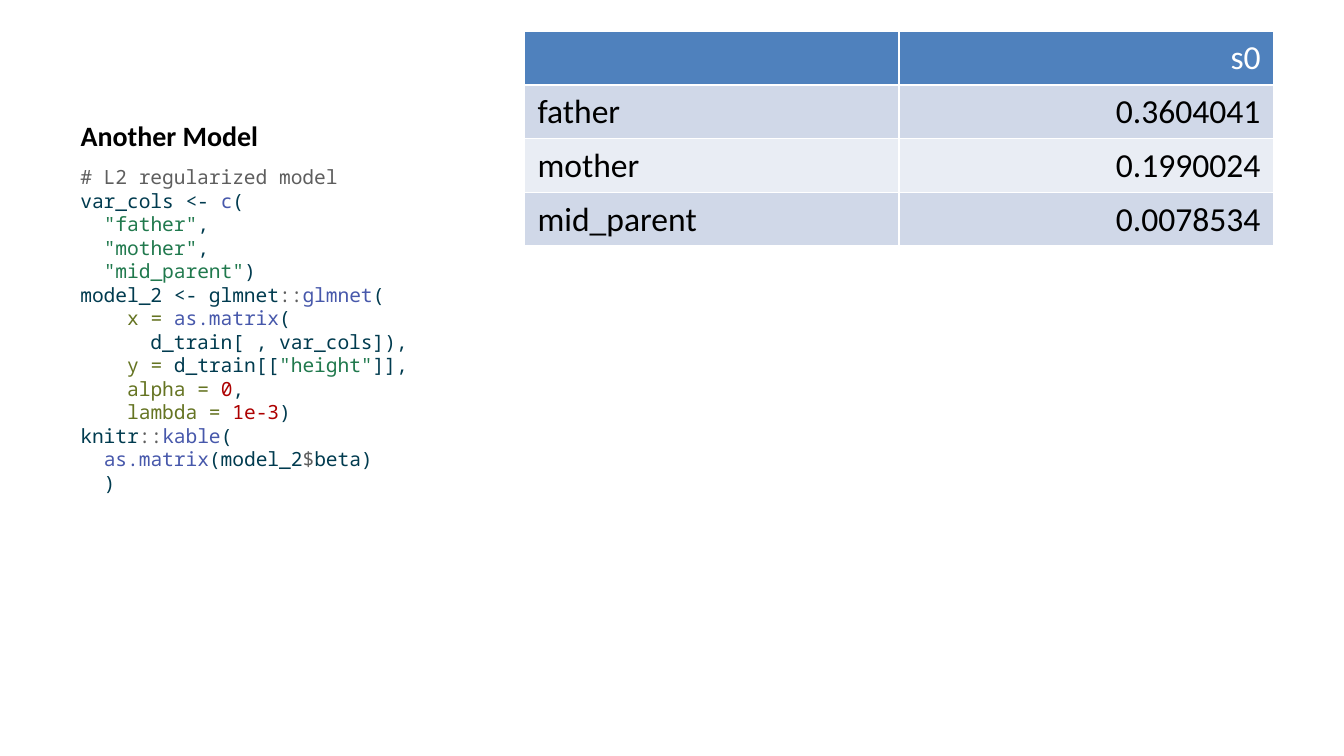
import pptx
import pptx.util
import pptx.dml.color
import pptx.enum.text

Inches = pptx.util.Inches
Pt = pptx.util.Pt
RGBColor = pptx.dml.color.RGBColor
Align = pptx.enum.text.PP_ALIGN
Anchor = pptx.enum.text.MSO_ANCHOR

BLACK = RGBColor(0x00, 0x00, 0x00)
WHITE = RGBColor(0xFF, 0xFF, 0xFF)
HEADER_BLUE = RGBColor(0x4F, 0x81, 0xBD)
BAND_DARK = RGBColor(0xD0, 0xD8, 0xE8)
BAND_LIGHT = RGBColor(0xE9, 0xED, 0xF4)
GREY = RGBColor(0x5E, 0x5E, 0x5E)
NAVY = RGBColor(0x00, 0x3B, 0x4F)
VIOLET = RGBColor(0x47, 0x58, 0xAB)
GREEN = RGBColor(0x20, 0x79, 0x4D)
OLIVE = RGBColor(0x65, 0x74, 0x22)
RED = RGBColor(0xAD, 0x00, 0x00)

TITLE = "Another Model"
CODE_LINES = [
    [("# L2 regularized model", GREY)],
    [("var_cols <- ", NAVY), ("c", VIOLET), ("(", NAVY)],
    [("  ", NAVY), ('"father"', GREEN), (",", NAVY)],
    [("  ", NAVY), ('"mother"', GREEN), (",", NAVY)],
    [("  ", NAVY), ('"mid_parent"', GREEN), (")", NAVY)],
    [("model_2 <- glmnet", NAVY), ("::", GREY), ("glmnet", VIOLET), ("(", NAVY)],
    [("    ", NAVY), ("x = ", OLIVE), ("as.matrix", VIOLET), ("(", NAVY)],
    [("      d_train[ , var_cols]),", NAVY)],
    [("    ", NAVY), ("y =", OLIVE), (" d_train[[", NAVY), ('"height"', GREEN), ("]],", NAVY)],
    [("    ", NAVY), ("alpha = ", OLIVE), ("0", RED), (",", NAVY)],
    [("    ", NAVY), ("lambda = ", OLIVE), ("1e-3", RED), (")", NAVY)],
    [("knitr", NAVY), ("::", GREY), ("kable", VIOLET), ("(", NAVY)],
    [("  ", NAVY), ("as.matrix", VIOLET), ("(model_2", NAVY), ("$", GREY), ("beta)", NAVY)],
    [("  )", NAVY)],
]
COEFFICIENTS = [
    ("", "s0"),
    ("father", "0.3604041"),
    ("mother", "0.1990024"),
    ("mid_parent", "0.0078534"),
]

SLIDE_WIDTH = 10
SLIDE_HEIGHT = SLIDE_WIDTH * 9 / 16
LEFT, TOP, TEXT_WIDTH = 0.5, 0.23, 3.29
TABLE_LEFT, TABLE_WIDTH, TABLE_HEIGHT = 3.9, 5.58, 4.79


def style(font, name, size, color, bold=False):
    font.name, font.size, font.bold = name, Pt(size), bold
    font.color.rgb = color


def add_title(page):
    title = page.shapes.title
    title.left, title.top = Inches(LEFT), Inches(TOP)
    title.width, title.height = Inches(TEXT_WIDTH), Inches(0.95)
    frame = title.text_frame
    frame.text = TITLE
    frame.auto_size = pptx.enum.text.MSO_AUTO_SIZE.NONE
    frame.vertical_anchor = Anchor.BOTTOM
    para = frame.paragraphs[0]
    para.alignment = Align.LEFT
    style(para.runs[0].font, "Calibri", 15, BLACK, bold=True)


def add_code(page):
    box = page.shapes.add_textbox(Inches(LEFT), Inches(1.18), Inches(TEXT_WIDTH), Inches(3.85))
    box.text_frame.word_wrap = True
    para = box.text_frame.paragraphs[0]
    for number, line in enumerate(CODE_LINES):
        if number:
            para.add_line_break()
        for text, color in line:
            span = para.add_run()
            span.text = text
            style(span.font, "Noto Sans Mono", 10.5, color)


def add_coefficients(page):
    """Add the table; rows of zero height grow to fit their text."""
    frame = page.shapes.add_table(
        len(COEFFICIENTS), len(COEFFICIENTS[0]), Inches(TABLE_LEFT), Inches(TOP),
        Inches(TABLE_WIDTH), Inches(TABLE_HEIGHT),
    )
    table = frame.table
    for row, values in enumerate(COEFFICIENTS):
        table.rows[row].height = 0
        if row == 0:
            background = HEADER_BLUE
        else:
            background = BAND_DARK if row % 2 else BAND_LIGHT
        for column, value in enumerate(values):
            cell = table.cell(row, column)
            cell.fill.solid()
            cell.fill.fore_color.rgb = background
            cell.text = value
            para = cell.text_frame.paragraphs[0]
            para.alignment = Align.RIGHT if column else Align.LEFT
            for span in para.runs:
                style(span.font, "Calibri", 18, BLACK if row else WHITE)
    frame.height = Inches(TABLE_HEIGHT)


def main():
    deck = pptx.Presentation()
    deck.slide_width, deck.slide_height = Inches(SLIDE_WIDTH), Inches(SLIDE_HEIGHT)
    page = deck.slides.add_slide(deck.slide_layouts.get_by_name("Title Only"))
    add_title(page)
    add_code(page)
    add_coefficients(page)
    deck.save("out.pptx")


if __name__ == "__main__":
    main()
